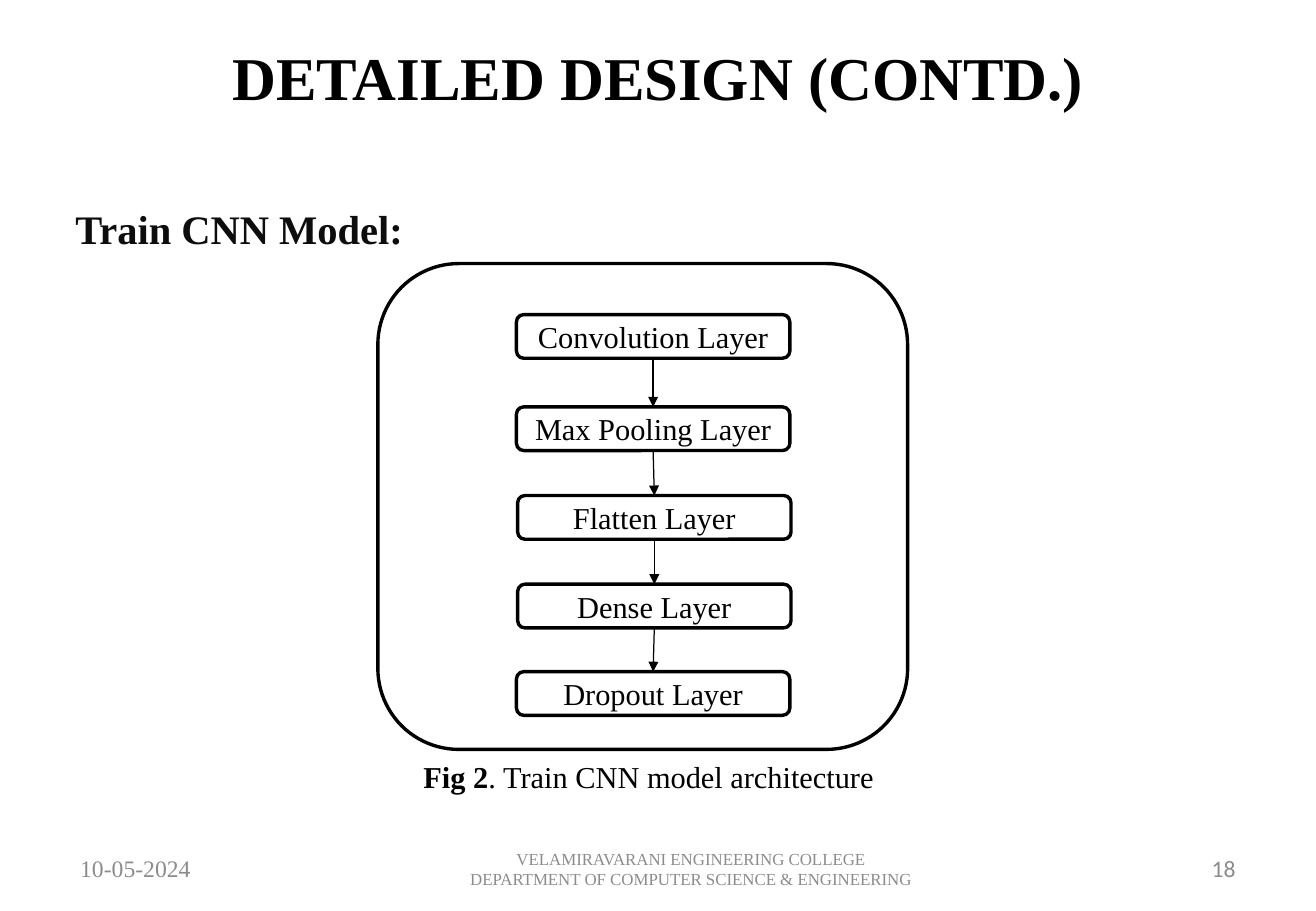
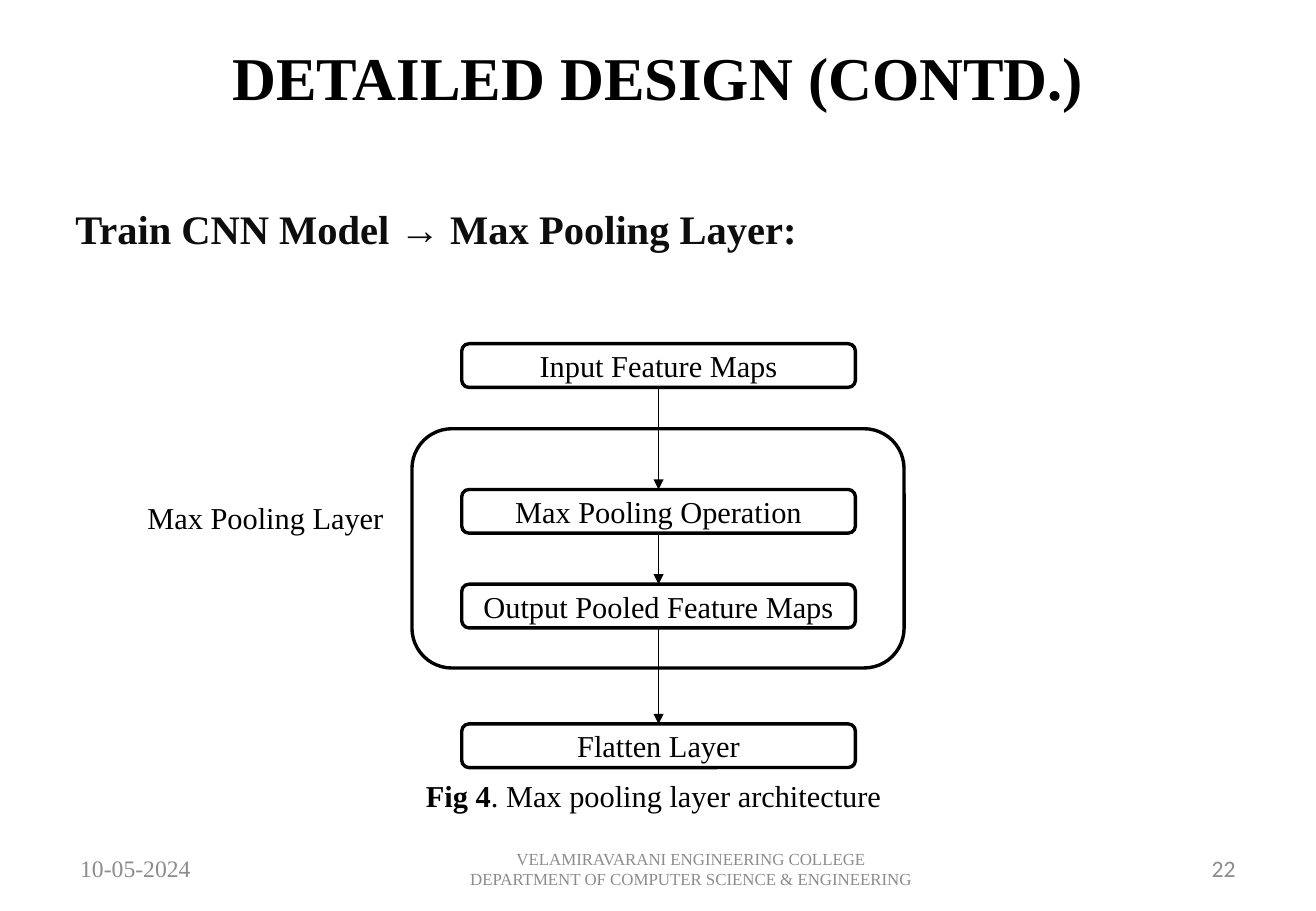
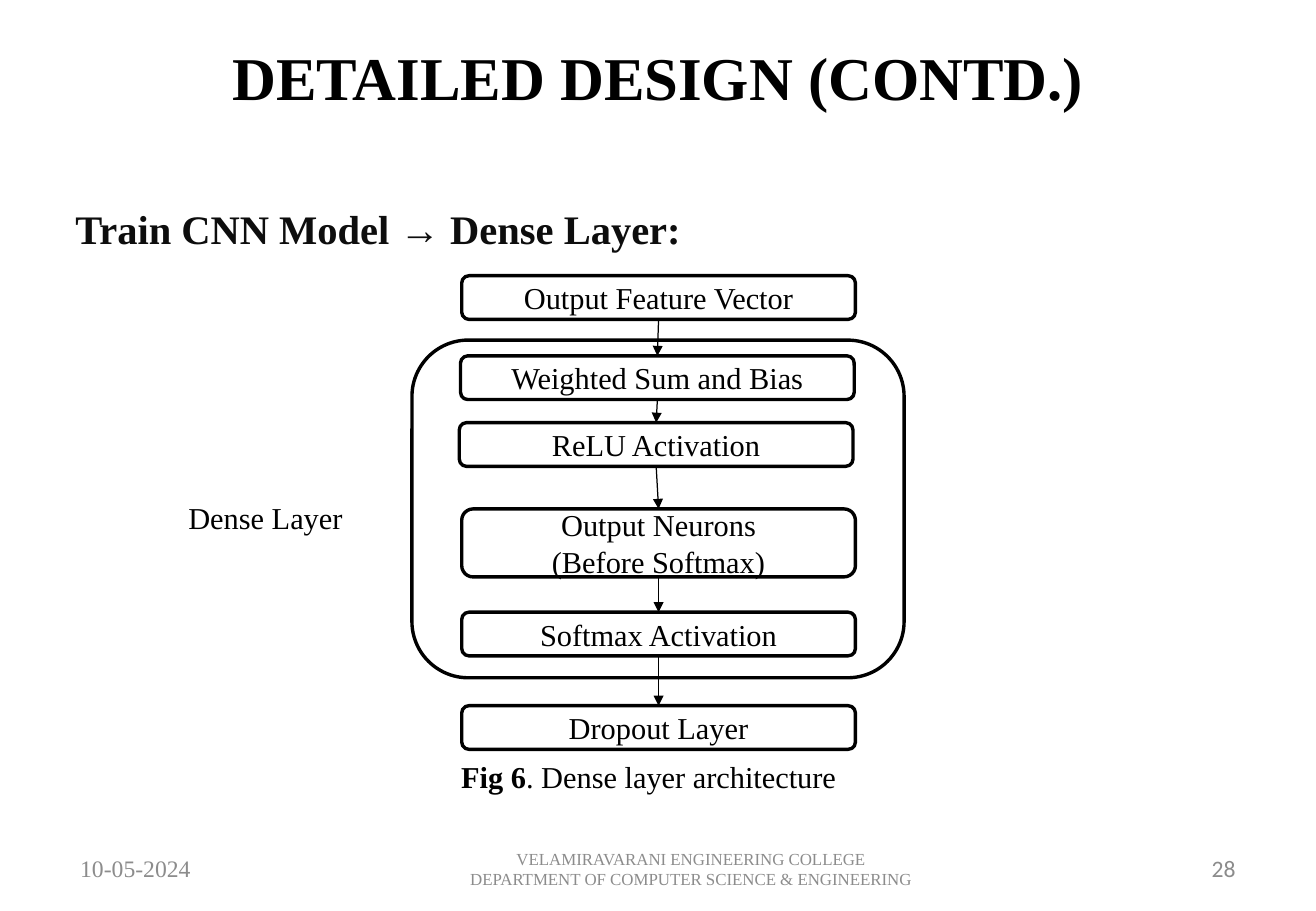
from itertools import pairwise

from lxml.etree import SubElement
from pptx import Presentation
from pptx.dml.color import RGBColor
from pptx.enum.shapes import MSO_CONNECTOR, MSO_SHAPE
from pptx.enum.text import MSO_ANCHOR, MSO_AUTO_SIZE, PP_ALIGN
from pptx.oxml.ns import qn
from pptx.util import Inches, Pt

BLACK = RGBColor(0x00, 0x00, 0x00)
WHITE = RGBColor(0xFF, 0xFF, 0xFF)
INK = RGBColor(0x0D, 0x0D, 0x0D)
GRAY = RGBColor(0x8C, 0x8C, 0x8C)
SERIF = "Times New Roman"
COLLEGE = ("VELAMIRAVARANI ENGINEERING COLLEGE "
           "DEPARTMENT OF COMPUTER SCIENCE & ENGINEERING")


class Deck:
    """Holds the shared style and the current slide, and draws each kind of element."""

    def __init__(self):
        self.prs = Presentation()
        self.prs.slide_width = Inches(10.83)
        self.prs.slide_height = Inches(7.5)
        self.s = None

    def add_slide(self, heading, number):
        self.s = self.prs.slides.add_slide(self.prs.slide_layouts[1])
        self.title("DETAILED DESIGN (CONTD.)")
        self.heading(heading)
        self.footer(0.54, 2.53, "10-05-2024", 14, PP_ALIGN.LEFT)
        self.footer(3.7, 3.97, COLLEGE, 10, PP_ALIGN.CENTER)
        self.footer(7.76, 2.53, str(number), 14, PP_ALIGN.RIGHT, "Calibri")

    def place(self, sp, x, y, w, h):
        sp.left, sp.top, sp.width, sp.height = (Inches(v) for v in (x, y, w, h))

    def frame_text(self, sp, anchor, inset_x=0.12, inset_y=0.06):
        tf = sp.text_frame
        tf.word_wrap = True
        tf.auto_size = MSO_AUTO_SIZE.NONE
        tf.vertical_anchor = anchor
        tf.margin_left = tf.margin_right = Inches(inset_x)
        tf.margin_top = tf.margin_bottom = Inches(inset_y)
        return tf

    def run(self, p, text, size, color=BLACK, bold=False, font=SERIF):
        r = p.add_run()
        r.text = text
        r.font.name = font
        r.font.size = Pt(size)
        r.font.bold = bold
        r.font.color.rgb = color

    def title(self, text):
        sp = self.s.shapes.title
        self.place(sp, 0, 0, 10.83, 1.25)
        p = self.frame_text(sp, MSO_ANCHOR.MIDDLE).paragraphs[0]
        p.alignment = PP_ALIGN.CENTER
        self.run(p, text, 36, bold=True)

    def heading(self, text):
        sp = self.s.placeholders[1]
        self.place(sp, 0.5, 1.42, 9.75, 5.33)
        p = self.frame_text(sp, MSO_ANCHOR.TOP).paragraphs[0]
        p.alignment = PP_ALIGN.JUSTIFY
        p.line_spacing = 1.5
        self.run(p, text, 24, INK, bold=True)
        pPr = p._p.get_or_add_pPr()
        pPr.set("marL", "0")
        pPr.set("indent", "0")
        SubElement(pPr, qn("a:buNone"))

    def footer(self, x, w, text, size, align, font=SERIF):
        sp = self.s.shapes.add_textbox(Inches(x), Inches(6.95), Inches(w), Inches(0.4))
        p = self.frame_text(sp, MSO_ANCHOR.MIDDLE).paragraphs[0]
        p.alignment = align
        self.run(p, text, size, GRAY, font=font)

    def shape(self, kind, x, y, w, h, filled=True, lined=True):
        sp = self.s.shapes.add_shape(kind, Inches(x), Inches(y), Inches(w), Inches(h))
        sp.shadow.inherit = False
        if filled:
            sp.fill.solid()
            sp.fill.fore_color.rgb = WHITE
        else:
            sp.fill.background()
        if lined:
            sp.line.color.rgb = BLACK
            sp.line.width = Pt(2)
        else:
            sp.line.fill.background()
        return sp

    def box(self, text, x, y, w, h=0.36, lined=True):
        sp = self.shape(MSO_SHAPE.ROUNDED_RECTANGLE, x, y, w, h, lined=lined)
        tf = self.frame_text(sp, MSO_ANCHOR.MIDDLE, 0.1, 0.05)
        for i, line in enumerate(text.split("\n")):
            p = tf.add_paragraph() if i else tf.paragraphs[0]
            p.alignment = PP_ALIGN.CENTER
            self.run(p, line, 18)
        return sp

    def arrow(self, upper, lower):
        c = self.s.shapes.add_connector(MSO_CONNECTOR.STRAIGHT, 0, 0, 0, 0)
        c.begin_connect(upper, 2)
        c.end_connect(lower, 0)
        c.line.color.rgb = BLACK
        c.line.width = Pt(0.75)
        SubElement(c.line._get_or_add_ln(), qn("a:tailEnd"), type="triangle")
        SubElement(c._element.spPr, qn("a:effectLst"))

    def flow(self, width, steps):
        boxes = [self.box(text, x, y, width, *h) for text, x, y, *h in steps]
        for upper, lower in pairwise(boxes):
            self.arrow(upper, lower)

    def group_frame(self, x, y, w, h):
        self.shape(MSO_SHAPE.ROUNDED_RECTANGLE, x, y, w, h, filled=False)

    def side_label(self, text):
        self.box(text, 1.06, 4.08, 2.25, lined=False)

    def caption(self, label, text, x=2.33, y=6.22):
        sp = self.shape(MSO_SHAPE.RECTANGLE, x, y, 6.08, 0.35, lined=False)
        p = self.frame_text(sp, MSO_ANCHOR.MIDDLE, 0.1, 0.05).paragraphs[0]
        p.alignment = PP_ALIGN.CENTER
        self.run(p, label, 18, bold=True)
        self.run(p, text, 18)


def main():
    deck = Deck()

    deck.add_slide("Train CNN Model:", 18)
    deck.flow(2.25, [
        ("Convolution Layer", 4.25, 2.59),
        ("Max Pooling Layer", 4.25, 3.35),
        ("Flatten Layer", 4.26, 4.08),
        ("Dense Layer", 4.26, 4.81),
        ("Dropout Layer", 4.25, 5.53),
    ])
    deck.group_frame(3.11, 2.17, 4.36, 4)
    deck.caption("Fig 2", ". Train CNN model architecture ")

    deck.add_slide("Train CNN Model → Max Pooling Layer:", 22)
    deck.flow(3.24, [
        ("Input Feature Maps", 3.8, 2.83),
        ("Max Pooling Operation", 3.8, 4.03),
        ("Output Pooled Feature Maps", 3.8, 4.81),
        ("Flatten Layer", 3.8, 5.96),
    ])
    deck.group_frame(3.39, 3.53, 4.05, 1.97)
    deck.side_label("Max Pooling Layer")
    deck.caption("Fig 4", ". Max pooling layer architecture ", 2.37, 6.37)

    deck.add_slide("Train CNN Model → Dense Layer:", 28)
    deck.flow(3.24, [
        ("Output Feature Vector", 3.8, 2.27),
        ("Weighted Sum and Bias", 3.79, 2.93),
        ("ReLU Activation", 3.78, 3.48),
        ("Output Neurons\n(Before Softmax)", 3.8, 4.19, 0.56),
        ("Softmax Activation", 3.8, 5.04),
        ("Dropout Layer", 3.8, 5.81),
    ])
    deck.group_frame(3.39, 2.8, 4.05, 2.78)
    deck.side_label("Dense Layer")
    deck.caption("Fig 6", ". Dense layer architecture ")

    deck.prs.save("out.pptx")


if __name__ == "__main__":
    main()
